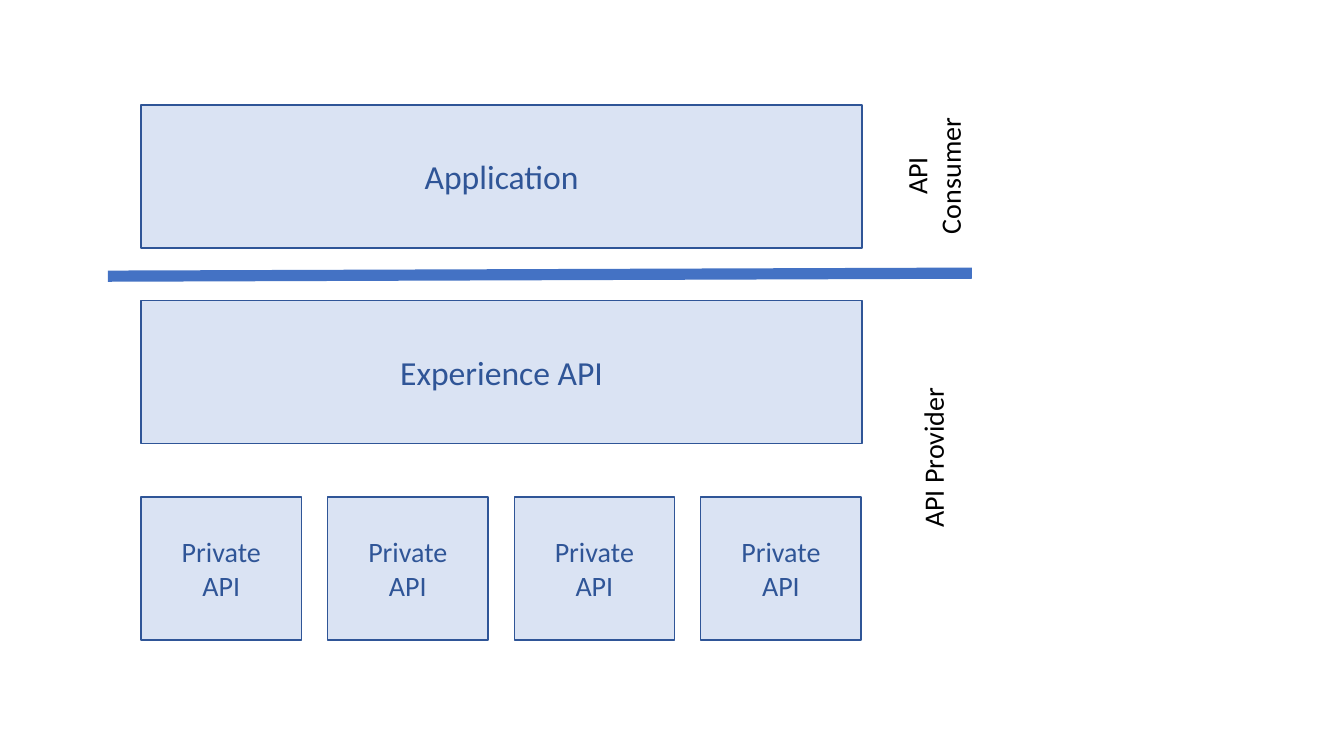
from dataclasses import dataclass

from lxml import etree
from pptx import Presentation
from pptx.dml.color import RGBColor
from pptx.enum.shapes import MSO_CONNECTOR, MSO_SHAPE
from pptx.enum.text import MSO_ANCHOR, MSO_AUTO_SIZE, PP_ALIGN
from pptx.oxml.ns import qn
from pptx.slide import Slide
from pptx.text.text import TextFrame
from pptx.util import Emu, Pt

FONT = "Calibri"
PALE_BLUE = RGBColor(0xDA, 0xE3, 0xF3)
DARK_BLUE = RGBColor(0x2F, 0x55, 0x97)
DIVIDER_BLUE = RGBColor(0x44, 0x72, 0xC4)
BLACK = RGBColor(0, 0, 0)

LEFT = 140
LAYER_WIDTH = 715
LAYER_HEIGHT = 142
PRIVATE_WIDTH = 159
PRIVATE_PITCH = 185
PRIVATE_COUNT = 4


@dataclass(frozen=True)
class Box:
    text: str
    left: int
    top: int
    width: int
    font_size: int


@dataclass(frozen=True)
class SideLabel:
    text: str
    left: int
    top: int
    width: int
    height: int
    alignment: PP_ALIGN


BOXES = [
    Box("Private\nAPI", LEFT + index * PRIVATE_PITCH, 493, PRIVATE_WIDTH, 20)
    for index in range(PRIVATE_COUNT)
] + [
    Box("Experience API", LEFT, 298, LAYER_WIDTH, 24),
    Box("Application", LEFT, 104, LAYER_WIDTH, 24),
]

SIDE_LABELS = [
    SideLabel("API Provider", 845, 431, 161, 44, PP_ALIGN.LEFT),
    SideLabel("API\nConsumer", 857, 136, 137, 77, PP_ALIGN.CENTER),
]


def px(value: int) -> Emu:
    """Convert px, at 100 to the inch, into EMU."""
    return Emu(value * 9144)


def write_text(frame: TextFrame, text: str, size: int, color: RGBColor,
               alignment: PP_ALIGN) -> None:
    frame.text = text
    for paragraph in frame.paragraphs:
        paragraph.alignment = alignment
        paragraph.font.name = FONT
        paragraph.font.size = Pt(size)
        paragraph.font.color.rgb = color


def draw_box(slide: Slide, box: Box) -> None:
    shape = slide.shapes.add_shape(
        MSO_SHAPE.RECTANGLE, px(box.left), px(box.top), px(box.width), px(LAYER_HEIGHT))
    shape.shadow.inherit = False
    shape.fill.solid()
    shape.fill.fore_color.rgb = PALE_BLUE
    shape.line.color.rgb = DARK_BLUE
    shape.line.width = Pt(1)
    shape.text_frame.vertical_anchor = MSO_ANCHOR.MIDDLE
    write_text(shape.text_frame, box.text, box.font_size, DARK_BLUE, PP_ALIGN.CENTER)


def draw_divider(slide: Slide) -> None:
    """Draw the line between API consumer and API provider."""
    divider = slide.shapes.add_connector(
        MSO_CONNECTOR.STRAIGHT, px(107), px(274), px(964), px(271))
    divider.line.color.rgb = DIVIDER_BLUE
    divider.line.width = Pt(8)
    etree.SubElement(divider.element.spPr, qn("a:effectLst"))


def draw_side_label(slide: Slide, label: SideLabel) -> None:
    shape = slide.shapes.add_textbox(
        px(label.left), px(label.top), px(label.width), px(label.height))
    shape.rotation = 270
    frame = shape.text_frame
    frame.word_wrap = False
    frame.auto_size = MSO_AUTO_SIZE.SHAPE_TO_FIT_TEXT
    write_text(frame, label.text, 20, BLACK, label.alignment)


def main() -> None:
    presentation = Presentation()
    presentation.slide_width = px(1333)
    presentation.slide_height = px(750)
    slide = presentation.slides.add_slide(presentation.slide_layouts[6])
    for box in BOXES:
        draw_box(slide, box)
    draw_divider(slide)
    for label in SIDE_LABELS:
        draw_side_label(slide, label)
    presentation.save("out.pptx")


if __name__ == "__main__":
    main()
